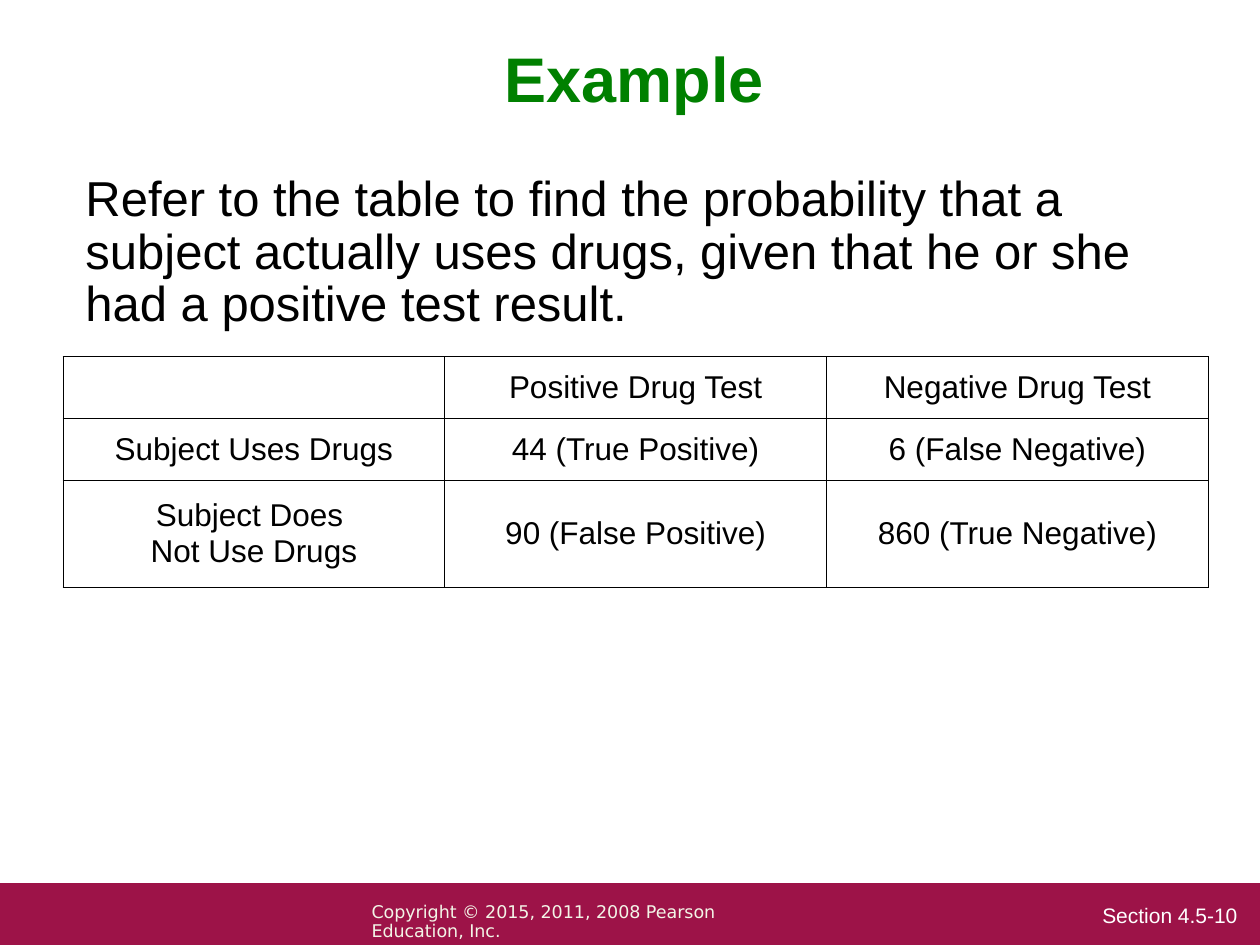
"""Build a slide with a worked probability example and its drug test table."""
import pptx
import pptx.dml.color
import pptx.enum.shapes
import pptx.enum.text
import pptx.oxml
import pptx.oxml.ns
import pptx.util
from pptx.util import Inches

COLORS = {"title": "008000", "text": "000000", "band": "9D1348",
          "section": "FFFFFF", "copyright": "F3F5E7"}
CENTER = pptx.enum.text.PP_ALIGN.CENTER
LEFT = pptx.enum.text.PP_ALIGN.LEFT


def rgb(name):
    return pptx.dml.color.RGBColor.from_string(COLORS[name])


class SlideBuilder:
    def __init__(self, prs, font="Arial"):
        self.font = font
        self.s = prs.slides.add_slide(prs.slide_layouts[5])

    def set_text(self, tf, text, size, color, align=LEFT, spacing=0.9, bold=False, font=None):
        tf.word_wrap = True
        tf.text = text
        for p in tf.paragraphs:
            p.alignment = align
            p.line_spacing = spacing
            p.space_before = pptx.util.Pt(0)
            p.font.name = font or self.font
            p.font.size = pptx.util.Pt(size)
            p.font.bold = bold
            p.font.color.rgb = rgb(color)

    def title(self, box, text):
        sp = self.s.shapes.title
        sp.left, sp.top, sp.width, sp.height = map(Inches, box)
        sp.text_frame.vertical_anchor = pptx.enum.text.MSO_ANCHOR.TOP
        self.set_text(sp.text_frame, text, 36, "title", CENTER, bold=True)

    def band(self, box):
        sp = self.s.shapes.add_shape(
            pptx.enum.shapes.MSO_SHAPE.RECTANGLE, *map(Inches, box))
        sp.shadow.inherit = False
        sp.fill.solid()
        sp.fill.fore_color.rgb = rgb("band")
        sp.line.fill.background()

    def text(self, box, text, size, color, font=None):
        sp = self.s.shapes.add_textbox(*map(Inches, box))
        self.set_text(sp.text_frame, text, size, color, font=font)

    def table(self, left, top, col_width, row_heights, rows):
        cols = len(rows[0])
        table = self.s.shapes.add_table(
            len(rows), cols, Inches(left), Inches(top),
            Inches(col_width * cols), Inches(sum(row_heights))).table
        table.first_row = table.horz_banding = False
        for column in table.columns:
            column.width = Inches(col_width)
        for row, height, texts in zip(table.rows, row_heights, rows):
            row.height = Inches(height)
            for cell, text in zip(row.cells, texts):
                self.cell(cell, text)

    def cell(self, cell, text):
        cell.vertical_anchor = pptx.enum.text.MSO_ANCHOR.MIDDLE
        self.set_text(cell.text_frame, text, 18, "text", CENTER, spacing=1.0)
        tc_pr = cell._tc.get_or_add_tcPr()
        for side in ("lnL", "lnR", "lnT", "lnB"):
            tc_pr.append(pptx.oxml.parse_xml(
                f'<a:{side} {pptx.oxml.ns.nsdecls("a")} w="{pptx.util.Pt(0.45)}">'
                f'<a:solidFill><a:srgbClr val="{COLORS["text"]}"/></a:solidFill></a:{side}>'))
        cell.fill.background()


def main():
    prs = pptx.Presentation()
    prs.slide_width, prs.slide_height = Inches(10), Inches(7.5)
    slide = SlideBuilder(prs)
    slide.band((0, 7.01, 10, 0.5))
    slide.text((8.65, 7.14, 1.33, 0.26), "Section 4.5-10", 12, "section")
    slide.text((2.85, 7.12, 3.68, 0.25),
               "Copyright © 2015, 2011, 2008 Pearson Education, Inc.",
               10, "copyright", "DejaVu Sans")
    slide.title((1.25, 0.33, 7.57, 0.67), "Example")
    slide.text((0.58, 1.33, 8.92, 1.36),
               "Refer to the table to find the probability that a subject actually "
               "uses drugs, given that he or she had a positive test result.",
               28, "text")
    slide.table(0.5, 2.83, 3.03, (0.49, 0.49, 0.85), (
        ("", "Positive Drug Test", "Negative Drug Test"),
        ("Subject Uses Drugs", "44 (True Positive)", "6 (False Negative)"),
        ("Subject Does \nNot Use Drugs", "90 (False Positive)", "860 (True Negative)")))
    prs.save("out.pptx")


if __name__ == "__main__":
    main()
